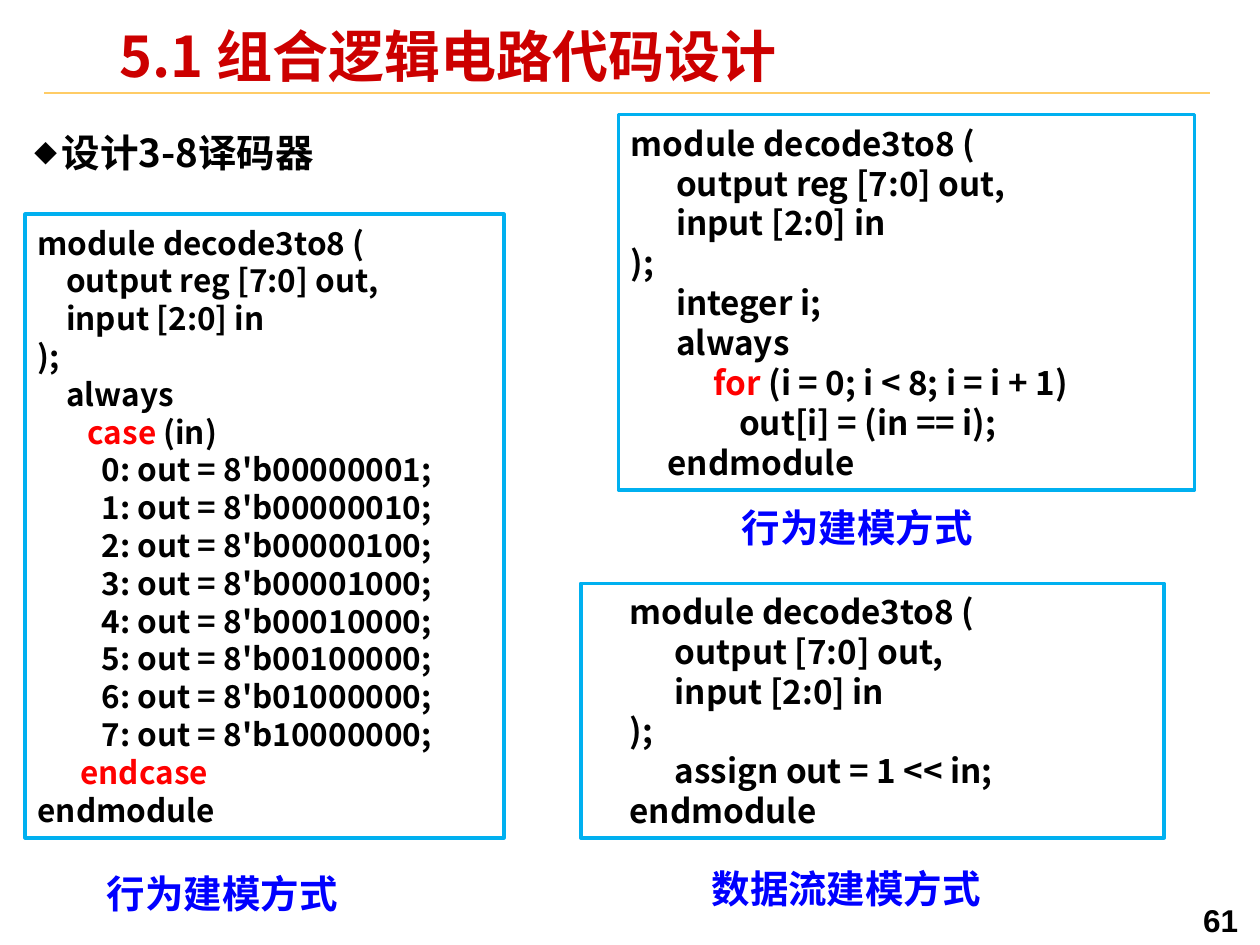
from dataclasses import dataclass

from lxml.etree import SubElement
from pptx import Presentation
from pptx.dml.color import RGBColor
from pptx.enum.shapes import MSO_CONNECTOR, MSO_SHAPE
from pptx.enum.text import MSO_ANCHOR
from pptx.oxml.ns import qn
from pptx.util import Inches, Pt

CRIMSON = RGBColor(0xCC, 0x00, 0x00)
RED = RGBColor(0xFF, 0x00, 0x00)
BLUE = RGBColor(0x00, 0x00, 0xFF)
CYAN = RGBColor(0x00, 0xB0, 0xF0)
GOLD = RGBColor(0xFF, 0xCC, 0x66)
BLACK = RGBColor(0x00, 0x00, 0x00)
WHITE = RGBColor(0xFF, 0xFF, 0xFF)

CJK_FONT = "Noto Sans CJK SC"
LINE_PITCH = 1.2  # line height as a multiple of the text size
CODE_INDENT = 0.29

Box = tuple[float, float, float, float]


@dataclass
class Listing:
    box: Box
    size: int
    lines: list[str]
    keywords: tuple[str, ...] = ()
    indented: tuple[str, ...] = ()


@dataclass
class Caption:
    text: str
    box: Box


CASE_ARMS = [f"         {i}: out = 8'b{1 << i:08b};" for i in range(8)]

LISTINGS = [
    Listing(
        (0.2, 1.7, 3.8, 4.95), 18,
        ["module decode3to8 (",
         "    output reg [7:0] out,",
         "    input [2:0] in",
         ");",
         "    always",
         "       case (in)",
         *CASE_ARMS,
         "      endcase",
         "endmodule"],
        keywords=("case", "endcase"),
    ),
    Listing(
        (4.91, 0.91, 4.57, 2.98), 19,
        ["module decode3to8 (",
         "      output reg [7:0] out,",
         "      input [2:0] in",
         ");",
         "      integer i;",
         "      always",
         "           for (i = 0; i < 8; i = i + 1)",
         "\t      out[i] = (in == i);",
         "endmodule"],
        keywords=("for",),
        indented=("endmodule",),
    ),
]

DATAFLOW_LINES = [
    "module decode3to8 (",
    "      output [7:0] out,",
    "      input [2:0] in",
    ");",
    "      assign out = 1 << in;",
    "endmodule",
]
LISTINGS.append(Listing((4.61, 4.63, 4.63, 2.02), 19, DATAFLOW_LINES,
                        indented=tuple(DATAFLOW_LINES)))

CAPTIONS = [
    Caption("行为建模方式", (0.75, 6.86, 2.05, 0.47)),
    Caption("行为建模方式", (5.79, 3.95, 2.05, 0.47)),
    Caption("数据流建模方式", (5.55, 6.82, 2.36, 0.47)),
]


def add_run(paragraph, text: str, *, size: int, color: RGBColor, font: str) -> None:
    run = paragraph.add_run()
    run.text = text
    run.font.size = Pt(size)
    run.font.bold = True
    run.font.name = font
    run.font.color.rgb = color
    SubElement(run.font._element, qn("a:ea"), typeface=font)


def set_bullet(paragraph) -> None:
    """Give the paragraph a small black diamond with a hanging indent."""
    props = paragraph._p.get_or_add_pPr()
    props.set("marL", str(Inches(0.22)))
    props.set("indent", str(Inches(-0.22)))
    color = SubElement(props, qn("a:buClr"))
    SubElement(color, qn("a:srgbClr"), val=str(BLACK))
    SubElement(props, qn("a:buSzPct"), val="60000")
    SubElement(props, qn("a:buFont"), typeface=CJK_FONT)
    SubElement(props, qn("a:buChar"), char="◆")


def add_text(slide, text: str, box: Box, *, size: int, color: RGBColor = BLACK,
             font: str = CJK_FONT, pitch: float = LINE_PITCH, wrap: bool = True,
             margins: tuple[float, float] = (0.1, 0.05), bullet: bool = False) -> None:
    frame = slide.shapes.add_textbox(*map(Inches, box)).text_frame
    frame.word_wrap = wrap
    frame.margin_left = frame.margin_right = Inches(margins[0])
    frame.margin_top = frame.margin_bottom = Inches(margins[1])
    paragraph = frame.paragraphs[0]
    paragraph.line_spacing = Pt(size * pitch)
    if bullet:
        set_bullet(paragraph)
    add_run(paragraph, text, size=size, color=color, font=font)


def split_keyword(line: str, keywords: tuple[str, ...]) -> list[tuple[str, RGBColor]]:
    """Cut a code line into coloured pieces around its leading keyword."""
    word = next(iter(line.split()), "")
    if word not in keywords:
        return [(line, BLACK)]
    before, _, after = line.partition(word)
    pieces = [(before, BLACK), (word, RED), (after, BLACK)]
    return [piece for piece in pieces if piece[0]]


def add_listing(slide, listing: Listing) -> None:
    panel = slide.shapes.add_shape(MSO_SHAPE.RECTANGLE, *map(Inches, listing.box))
    panel.shadow.inherit = False
    panel.fill.solid()
    panel.fill.fore_color.rgb = WHITE
    panel.line.color.rgb = CYAN
    panel.line.width = Pt(2)
    frame = panel.text_frame
    frame.word_wrap = True
    frame.vertical_anchor = MSO_ANCHOR.MIDDLE
    for number, line in enumerate(listing.lines):
        paragraph = frame.add_paragraph() if number else frame.paragraphs[0]
        paragraph.line_spacing = Pt(listing.size * LINE_PITCH)
        props = paragraph._p.get_or_add_pPr()
        props.set("algn", "l")
        if line in listing.indented:
            props.set("indent", str(Inches(CODE_INDENT)))
        for text, color in split_keyword(line, listing.keywords):
            add_run(paragraph, text, size=listing.size, color=color, font=CJK_FONT)


def add_title_rule(slide) -> None:
    y = Inches(0.74)
    rule = slide.shapes.add_connector(MSO_CONNECTOR.STRAIGHT,
                                      Inches(0.35), y, Inches(9.6), y)
    rule.line.color.rgb = GOLD
    rule.line.width = Pt(1)
    SubElement(rule._element.spPr, qn("a:effectLst"))


def main() -> None:
    deck = Presentation()
    deck.slide_width, deck.slide_height = Inches(10), Inches(7.5)
    slide = deck.slides.add_slide(deck.slide_layouts[6])

    add_title_rule(slide)
    add_text(slide, "5.1 组合逻辑电路代码设计", (0.88, 0.21, 6.64, 0.52),
             size=32, color=CRIMSON, pitch=1.04, margins=(0.07, 0.03))
    add_text(slide, "设计3-8译码器", (0.2, 0.92, 4.88, 0.46),
             size=22, pitch=1.44, margins=(0.07, 0.03), bullet=True)
    add_text(slide, "61", (9.45, 7.1, 0.55, 0.36), size=18, font="Arial")
    for listing in LISTINGS:
        add_listing(slide, listing)
    for caption in CAPTIONS:
        add_text(slide, caption.text, caption.box, size=22, color=BLUE, wrap=False)

    deck.save("out.pptx")


if __name__ == "__main__":
    main()
